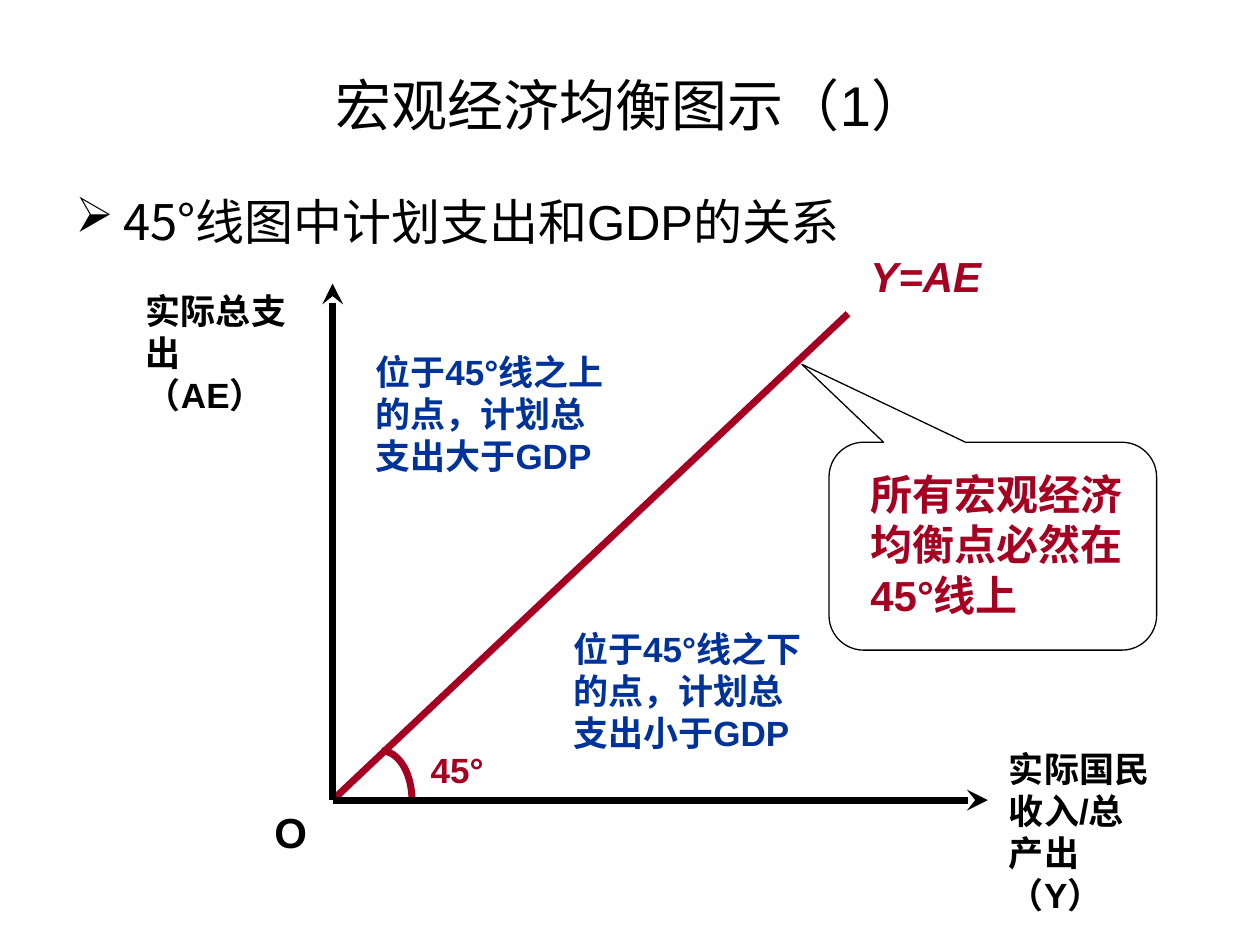
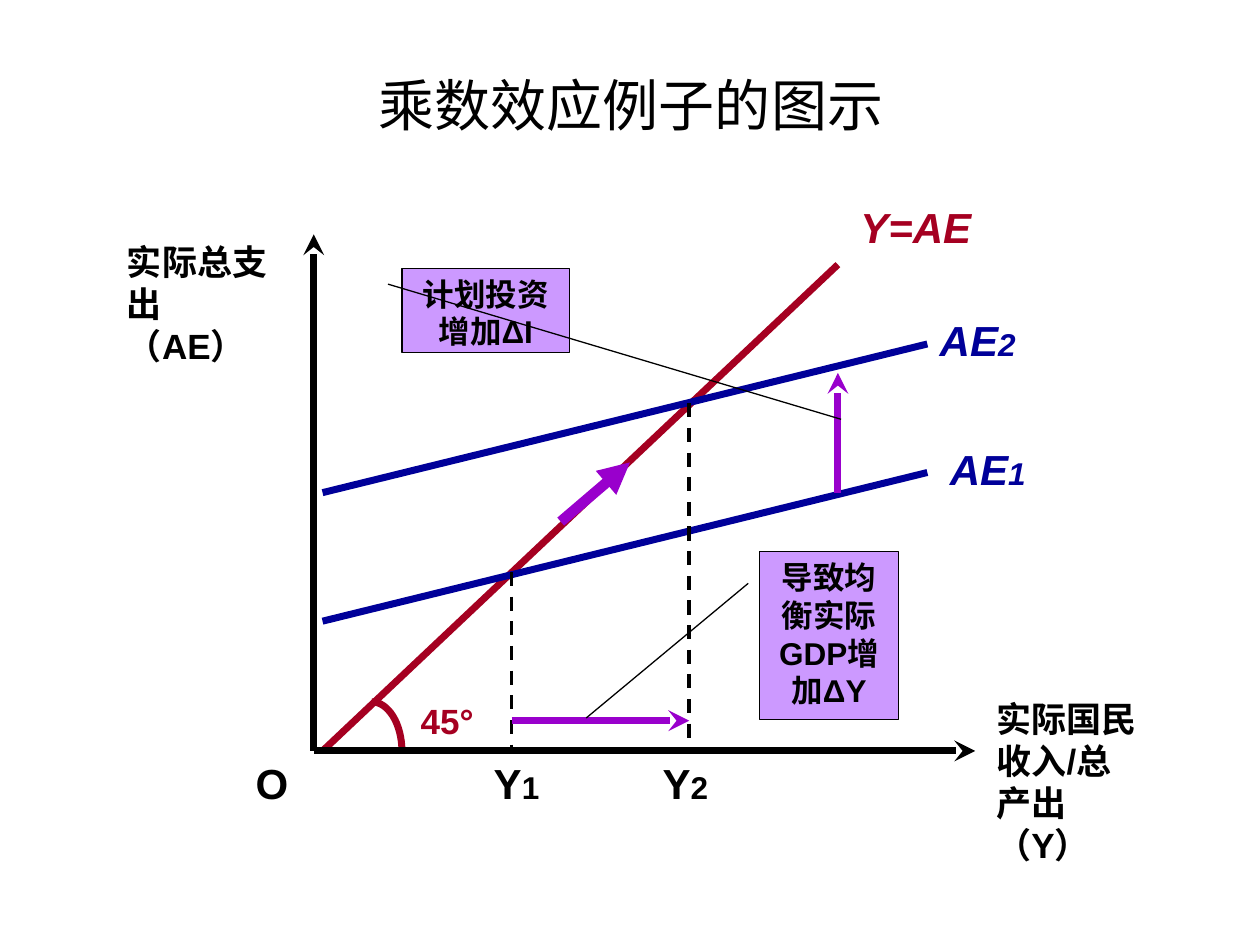
import math
import pptx
import pptx.util
import pptx.dml.color
import pptx.enum.dml
import pptx.enum.shapes
import pptx.enum.text
import pptx.oxml.ns
from lxml import etree

Inches = pptx.util.Inches
Pt = pptx.util.Pt
SHAPE = pptx.enum.shapes.MSO_SHAPE
ALIGN = pptx.enum.text.PP_ALIGN
ANCHOR = pptx.enum.text.MSO_ANCHOR
FIT = pptx.enum.text.MSO_AUTO_SIZE

HUE = {"ink": "000000", "red": "A50021", "blue": "003399",
       "navy": "000099", "plum": "9900CC", "lilac": "CC99FF"}
SANS, HAN = "Arial", "Noto Sans CJK SC"
PAD = {"margin_left": 0.1, "margin_top": 0.05,
       "margin_right": 0.1, "margin_bottom": 0.05}
LABEL = {"size": 20, "bold": True, "hue": "ink"}
BIG = LABEL | {"size": 24}
SLANT = BIG | {"italic": True}
SMALL = {"size": 18}


def tint(name):
    return pptx.dml.color.RGBColor.from_string(HUE[name])


def node(home, tag, **marks):
    return etree.SubElement(home, pptx.oxml.ns.qn(tag), marks)


def style(font, look):
    look = {"name": SANS} | look
    font.color.rgb = tint(look.pop("hue"))
    font.size = Pt(look.pop("size"))
    for key, value in look.items():
        setattr(font, key, value)


def write(shape, runs, look, **frame):
    body = shape.text_frame
    values = {key: Inches(size) for key, size in PAD.items()}
    values |= {"word_wrap": True, "vertical_anchor": ANCHOR.TOP} | frame
    for key, value in values.items():
        setattr(body, key, value)
    para = body.paragraphs[0]
    for words, change in runs:
        run = para.add_run()
        run.text = words
        style(run.font, look | change)
    return para


def text(slide, box, runs, look, **frame):
    if isinstance(runs, str):
        runs = [(runs, {})]
    shape = slide.shapes.add_textbox(*map(Inches, box))
    return write(shape, runs, look, **frame)


def label(slide, box, runs, look):
    return text(slide, box, runs, look, auto_size=FIT.SHAPE_TO_FIT_TEXT)


def stroke(shape, hue, width):
    shape.line.color.rgb = tint(hue)
    shape.line.width = Pt(width)


def line(slide, start, end, hue, width=4, tip=None, dash=False):
    link = slide.shapes.add_connector(
        pptx.enum.shapes.MSO_CONNECTOR.STRAIGHT,
        *map(Inches, (*start, *end)))
    stroke(link, hue, width)
    if dash:
        link.line.dash_style = pptx.enum.dml.MSO_LINE.DASH
    if tip:
        node(link.line._get_or_add_ln(), "a:tailEnd", type=tip)
    node(link._element.spPr, "a:effectLst")


def callout(slide, box, kind, turns, fill=None):
    shape = slide.shapes.add_shape(kind, *map(Inches, box))
    shape.shadow.inherit = False
    for index, value in enumerate(turns):
        shape.adjustments[index] = value
    if fill:
        shape.fill.solid()
        shape.fill.fore_color.rgb = tint(fill)
    else:
        shape.fill.background()
    stroke(shape, "ink", 0.75)
    return shape


def note(slide, box, words, turns):
    shape = callout(slide, box, SHAPE.LINE_CALLOUT_1, turns, "lilac")
    para = write(shape, [(words, {})], LABEL | SMALL)
    para.alignment = ALIGN.CENTER


def title(slide, words):
    para = text(slide, (0.51, 0.36, 9, 0.94), words,
                {"size": 32, "hue": "ink"}, vertical_anchor=ANCHOR.MIDDLE)
    para.alignment = ALIGN.CENTER


def bullet(slide, box, runs):
    para = text(slide, box, runs, {"size": 28, "hue": "ink"})
    props = para._p.get_or_add_pPr()
    for key, value in {"marL": 0.38, "indent": -0.38}.items():
        props.set(key, str(Inches(value)))
    node(node(props, "a:buClr"), "a:srgbClr", val=HUE["ink"])
    node(props, "a:buChar", char="➢")


def axes(slide, box):
    left, top, wide, high = box
    base = top + high
    zero = (left, base)
    line(slide, zero, (left, top), "ink", tip="stealth")
    line(slide, zero, (left + wide, base), "ink", tip="stealth")
    label(slide, (left - 0.56, base, 0.47, 0.5), "O", BIG)
    label(slide, (left - 1.58, top, 1.34, 1.1), "实际总支出（AE）", LABEL)
    label(slide, (left + wide + 0.07, base - 0.47, 1.34, 1.44),
          "实际国民收入/总产出（Y）", LABEL)


def arc(slide, left, base, wide, high, steps=16):
    turns = [math.pi / 2 * (1 - step / steps) for step in range(steps + 1)]
    dots = [(Inches(left + wide * math.cos(turn)),
             Inches(base - high * math.sin(turn))) for turn in turns]
    pen = slide.shapes.build_freeform(*dots[0])
    pen.add_line_segments(dots[1:], close=False)
    curve = pen.convert_to_shape()
    curve.shadow.inherit = False
    curve.fill.background()
    stroke(curve, "red", 4)


def ray(slide, box):
    left, top, wide, high = box
    base, right = top + high, left + wide
    line(slide, (left, base), (right, top), "red")
    arc(slide, left + 0.39, base, 0.24, 0.39)
    label(slide, (left + 0.68, base - 0.46, 0.89, 0.44), "45°",
          LABEL | {"hue": "red"})
    label(slide, (right + 0.08, top - 0.55, 1.13, 0.5), "Y=AE",
          SLANT | {"hue": "red"})


def spend(slide, box, mark, shift):
    left, top, wide, high = box
    right = left + wide
    line(slide, (left, top + high), (right, top), "navy")
    label(slide, (right + shift, top - 0.28, 0.86, 0.5),
          [("AE", {}), (mark, SMALL)], SLANT | {"hue": "navy"})


def drop(slide, box, mark, shift):
    left, top, wide, high = box
    line(slide, (left, top), (left, top + high), "ink", 2, dash=True)
    label(slide, (left - shift, top + high, wide, 0.5),
          [("Y", {}), (mark, SMALL)], BIG)


def speech(slide, box, words):
    left, top, wide, high = box
    callout(slide, box, SHAPE.ROUNDED_RECTANGULAR_CALLOUT,
            (-0.583, -0.875, 0.167))
    label(slide, (left + 0.23, top + 0.16, wide - 0.24, 1.3), words,
          BIG | {"hue": "red"})


def balance(slide):
    title(slide, "宏观经济均衡图示（1）")
    han = {"name": HAN}
    bullet(slide, (0.5, 1.47, 9, 5.23),
           [("45°线图中计划支出和", han), ("GDP", {}), ("的关系", han)])
    ray(slide, (2.64, 2.49, 4.09, 3.86))
    axes(slide, (2.64, 2.25, 5.2, 4.1))
    for left, top, side, size in ((2.88, 2.73, "上", "大"),
                                  (4.45, 4.93, "下", "小")):
        label(slide, (left, top, 2.1, 1.44),
              f"位于45°线之{side}的点，计划总支出{size}于GDP",
              LABEL | {"hue": "blue"})
    speech(slide, (6.58, 3.51, 2.6, 1.65), "所有宏观经济均衡点必然在45°线上")


def growth(slide):
    title(slide, "乘数效应例子的图示")
    ray(slide, (2.56, 2.1, 4.09, 3.86))
    axes(slide, (2.49, 1.86, 5.25, 4.1))
    spend(slide, (2.56, 3.75, 4.8, 1.18), "1", 0.08)
    spend(slide, (2.56, 2.73, 4.8, 1.18), "2", 0)
    drop(slide, (4.06, 4.54, 0.71, 1.42), "1", 0.24)
    drop(slide, (5.47, 3.2, 0.71, 2.76), "2", 0.31)
    line(slide, (4.06, 5.72), (5.47, 5.72), "plum", tip="stealth")
    note(slide, (6.03, 4.38, 1.1, 1.33), "导致均衡实际GDP增加ΔY",
         (0.188, -0.083, 0.992, -1.252))
    line(slide, (6.65, 3.91), (6.65, 2.96), "plum", tip="stealth")
    note(slide, (3.19, 2.13, 1.33, 0.67), "计划投资增加ΔI",
         (0.188, -0.083, 1.788, 2.621))
    line(slide, (4.45, 4.14), (5, 3.67), "plum", 6, tip="triangle")


def main():
    deck = pptx.Presentation()
    deck.slide_width, deck.slide_height = Inches(10), Inches(7.5)
    for build in (balance, growth):
        build(deck.slides.add_slide(deck.slide_layouts[6]))
    deck.save("out.pptx")


if __name__ == "__main__":
    main()
